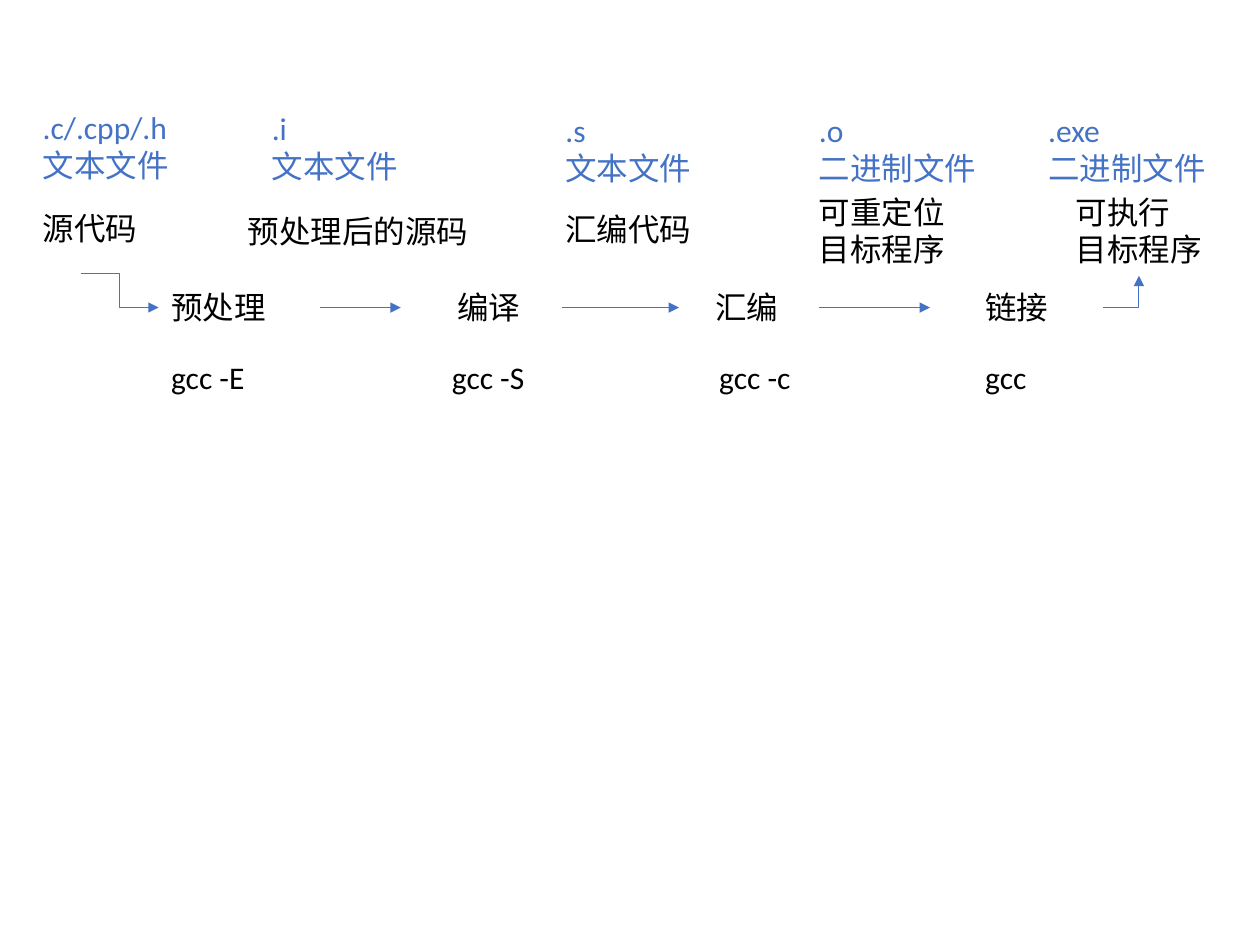
from lxml.etree import SubElement
from pptx import Presentation
from pptx.dml.color import RGBColor
from pptx.enum.shapes import MSO_CONNECTOR as Link
from pptx.enum.text import MSO_AUTO_SIZE as AutoSize
from pptx.oxml.ns import qn
from pptx.util import Cm, Pt

BLACK = RGBColor(0x00, 0x00, 0x00)
BLUE = RGBColor(0x44, 0x72, 0xC4)
ONE_LINE, TWO_LINES = 1.02, 1.8


def write(frame, text, font="Calibri", size=18, color=BLACK):
    """Fill a text frame, one paragraph for each line of text."""
    for index, line in enumerate(text.split("\n")):
        para = frame.paragraphs[0] if index == 0 else frame.add_paragraph()
        span = para.add_run()
        span.text = line
        span.font.name = font
        span.font.size = Pt(size)
        span.font.color.rgb = color


class Diagram:
    line_color = BLUE
    line_width = Pt(0.5)

    def __init__(self, page):
        self.page = page

    def label(self, text, left, top, width, height=ONE_LINE, wrap=False, **style):
        box = self.page.shapes.add_textbox(Cm(left), Cm(top), Cm(width), Cm(height))
        frame = box.text_frame
        frame.word_wrap = wrap
        frame.auto_size = AutoSize.SHAPE_TO_FIT_TEXT
        write(frame, text, **style)

    def arrow(self, start, end, kind=Link.STRAIGHT, preset=None):
        ends = [Cm(value) for value in (*start, *end)]
        connector = self.page.shapes.add_connector(kind, *ends)
        connector.line.color.rgb = self.line_color
        connector.line.width = self.line_width
        properties = connector._element.spPr
        SubElement(properties.find(qn("a:ln")), qn("a:tailEnd"), type="triangle")
        SubElement(properties, qn("a:effectLst"))
        if preset:
            properties.find(qn("a:prstGeom")).set("prst", preset)


def main():
    deck = Presentation()
    deck.slide_width, deck.slide_height = Cm(25.4), Cm(19.05)
    diagram = Diagram(deck.slides.add_slide(deck.slide_layouts[6]))

    # File types: text, left, top, width
    for text, left, top, width in [
        (".c/.cpp/.h\n文本文件", 0.61, 2.06, 3.07),
        (".i\n文本文件", 5.23, 2.08, 3.07),
        (".s\n文本文件", 11.15, 2.11, 3.2),
        (".o\n二进制文件", 16.26, 2.11, 3.91),
        (".exe\n二进制文件", 20.88, 2.11, 3.91),
    ]:
        diagram.label(text, left, top, width, TWO_LINES, color=BLUE)

    # What each file holds
    diagram.label("源代码", 0.61, 4.09, 2.44)
    diagram.label("预处理后的源码", 4.75, 4.14, 5)
    diagram.label("汇编代码", 11.15, 4.11, 3.07)
    diagram.label("可重定位目标程序", 16.26, 3.76, 3.2, TWO_LINES, wrap=True)
    diagram.label("可执行\n目标程序", 21.44, 3.76, 3.07, TWO_LINES)

    # Build steps and their commands: text, left, width
    steps = [("预处理", 3.2, 2.44), ("编译", 8.97, 1.8),
             ("汇编", 14.17, 1.8), ("链接", 19.61, 1.8)]
    commands = [("gcc -E", 3.2, 2.01), ("gcc -S", 8.86, 1.98),
                ("gcc -c", 14.25, 1.98), ("gcc", 19.61, 1.35)]
    for top, row in [(5.69, steps), (7.09, commands)]:
        for text, left, width in row:
            diagram.label(text, left, top, width)

    # Arrows along the middle of the step row
    middle = 6.2
    for start, end in [(6.45, 8.08), (11.33, 13.69), (16.51, 18.75)]:
        diagram.arrow((start, middle), (end, middle))
    diagram.arrow((1.63, 5.51), (3.2, middle), Link.ELBOW)
    diagram.arrow((22.23, middle), (22.96, 5.56), Link.ELBOW, "bentConnector2")

    deck.save("out.pptx")


if __name__ == "__main__":
    main()
